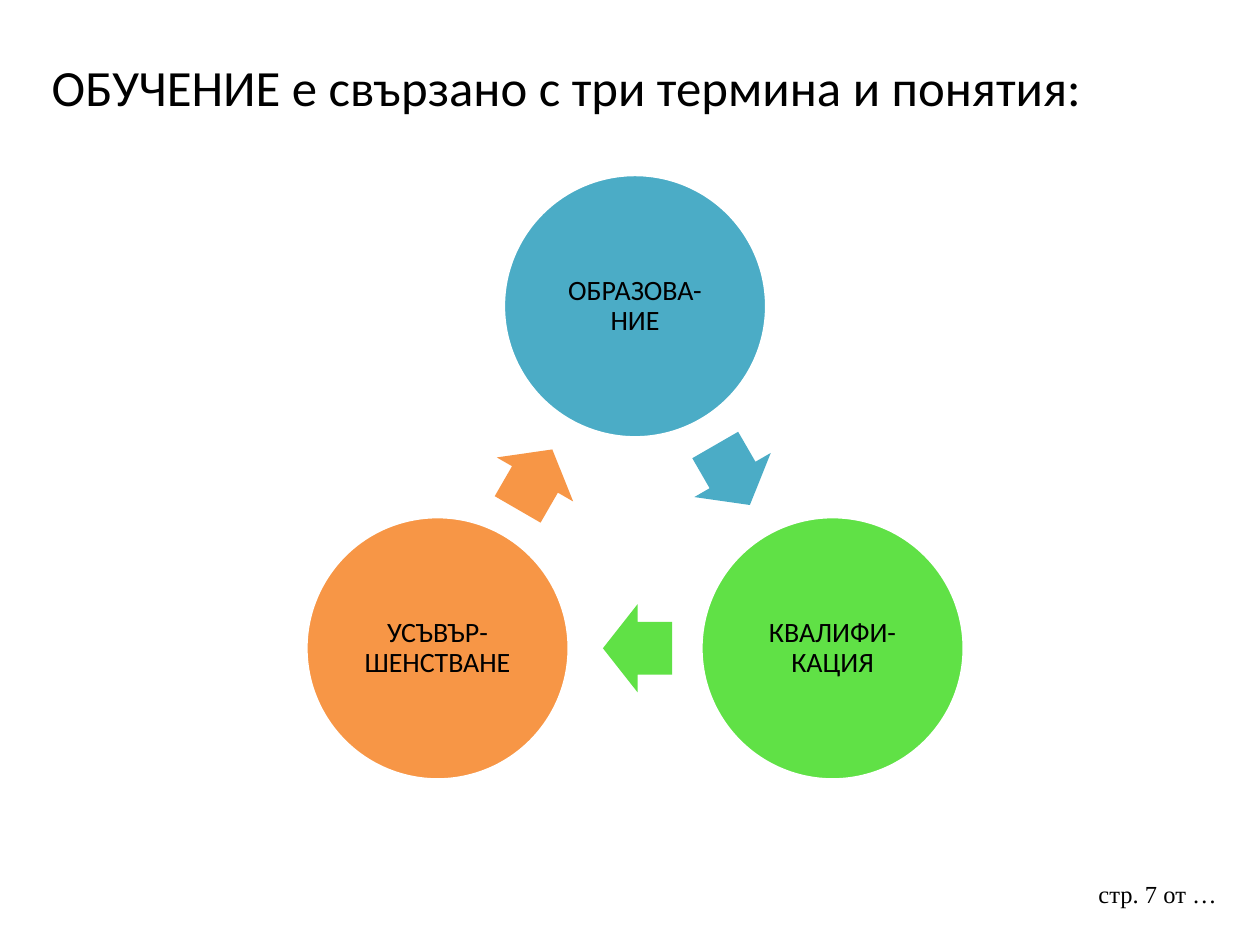
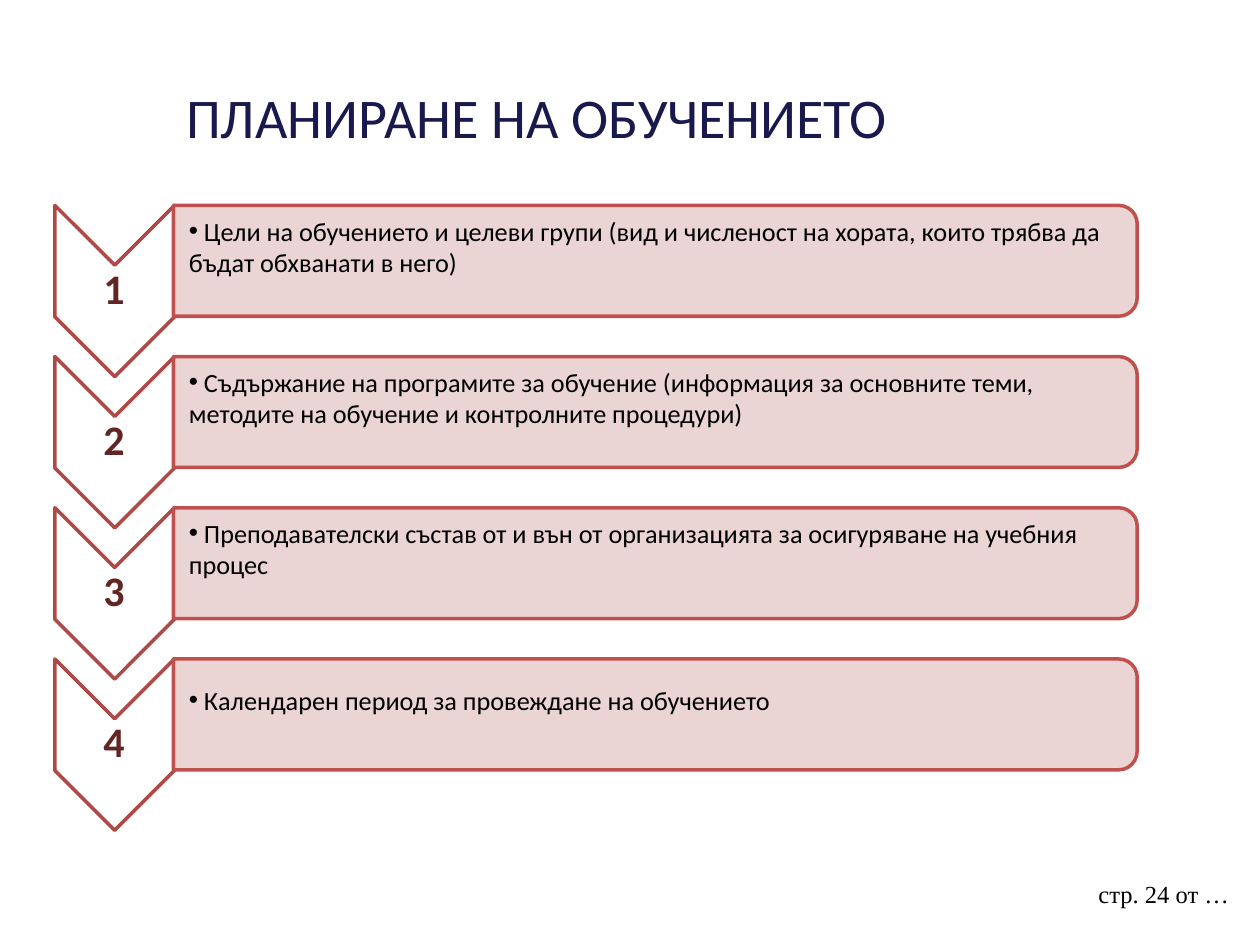
import math

import lxml.etree
import pptx
import pptx.dml.color
import pptx.enum.shapes
import pptx.enum.text
import pptx.oxml.ns
import pptx.util

Inches = pptx.util.Inches
Pt = pptx.util.Pt
RGBColor = pptx.dml.color.RGBColor
SHAPE = pptx.enum.shapes.MSO_SHAPE
ANCHOR = pptx.enum.text.MSO_ANCHOR
ALIGN = pptx.enum.text.PP_ALIGN
qn = pptx.oxml.ns.qn

BLACK = RGBColor(0x00, 0x00, 0x00)
WHITE = RGBColor(0xFF, 0xFF, 0xFF)
NAVY = RGBColor(0x19, 0x19, 0x4D)
TEAL = RGBColor(0x4B, 0xAC, 0xC6)
GREEN = RGBColor(0x60, 0xE1, 0x46)
ORANGE = RGBColor(0xF7, 0x96, 0x46)
PINK = RGBColor(0xE8, 0xD0, 0xD0)
RED = RGBColor(0xC0, 0x50, 0x4D)
DARK_RED = RGBColor(0xAE, 0x49, 0x46)
MAROON = RGBColor(0x63, 0x25, 0x23)

TITLE_FONT = {"name": "Calibri", "size": Pt(32)}
LONG_TITLE_FONT = {"name": "Calibri", "size": Pt(29)}
FOOTER_FONT = {"name": "Times New Roman", "size": Pt(14)}
CIRCLE_FONT = {"name": "Calibri", "size": Pt(16)}
NUMBER_FONT = {"name": "Calibri", "size": Pt(24), "bold": True}
STEP_FONT = {"name": "Calibri", "size": Pt(15)}
CENTERED = {"alignment": ALIGN.CENTER}
TIGHT = {"alignment": ALIGN.CENTER, "line_spacing": 0.9}

TERMS = [
    ("ОБРАЗОВА-НИЕ", TEAL),
    ("КВАЛИФИ-КАЦИЯ", GREEN),
    ("УСЪВЪР-ШЕНСТВАНЕ", ORANGE),
]
STEPS = [
    "Цели на обучението и целеви групи (вид и численост на хората, които трябва да бъдат обхванати в него)",
    "Съдържание на програмите за обучение (информация за основните теми, методите на обучение и контролните процедури)",
    "Преподавателски състав от и вън от организацията за осигуряване на учебния процес",
    "Календарен период за провеждане на обучението",
]


def apply(obj, values):
    for name, value in values.items():
        setattr(obj, name, value)


def add_bullet(p):
    pPr = p._p.get_or_add_pPr()
    pPr.set("marL", "0")
    pPr.set("indent", "0")
    lxml.etree.SubElement(pPr, qn("a:buFont")).set("typeface", "Arial")
    lxml.etree.SubElement(pPr, qn("a:buChar")).set("char", "•")


def write(sp, text, font, color=BLACK, para=None, insets=(0.1, 0.05, 0.1, 0.05),
          anchor=ANCHOR.MIDDLE, bullet=False):
    tf = sp.text_frame
    sides = ("margin_left", "margin_top", "margin_right", "margin_bottom")
    apply(tf, {side: Inches(inset) for side, inset in zip(sides, insets)})
    apply(tf, {"word_wrap": True, "vertical_anchor": anchor})
    p = tf.paragraphs[0]
    if bullet:
        add_bullet(p)
    apply(p, para or {})
    r = p.add_run()
    r.text = text
    apply(r.font, font)
    r.font.color.rgb = color


def add_text(s, box, *args, **kwargs):
    write(s.shapes.add_textbox(*map(Inches, box)), *args, **kwargs)


def add_shape(s, kind, cx, cy, width, height, fill, line=None, rotation=0):
    box = (cx - width / 2, cy - height / 2, width, height)
    sp = s.shapes.add_shape(kind, *map(Inches, box))
    sp.shadow.inherit = False
    sp.rotation = rotation
    sp.fill.solid()
    sp.fill.fore_color.rgb = fill
    if line is None:
        sp.line.fill.background()
    else:
        sp.line.color.rgb = line
        sp.line.width = Pt(2)
    return sp


def set_opacity(sp, percent):
    color = sp._element.spPr.find(qn("a:solidFill"))[0]
    lxml.etree.SubElement(color, qn("a:alpha")).set("val", str(percent * 1000))


def add_page(prs, title, title_box, font, color, number):
    s = prs.slides.add_slide(prs.slide_layouts[6])
    add_text(s, (8.62, 6.93, 1.3, 0.52), f"стр. {number} от …", FOOTER_FONT, anchor=ANCHOR.TOP)
    add_text(s, title_box, title, font, color, CENTERED)
    return s


def add_cycle(s, terms, cx=5.04, cy=4.24, radius=1.81):
    turn = 360 / len(terms)
    arrow_radius = radius * math.cos(math.radians(turn / 2))
    setback = 0.02
    for i, (term, color) in enumerate(terms):
        angle = math.radians(i * turn - 90)
        circle = add_shape(s, SHAPE.OVAL, cx + radius * math.cos(angle),
                           cy + radius * math.sin(angle), 2.09, 2.09, color, WHITE)
        write(circle, term, CIRCLE_FONT, para=TIGHT, insets=(0.02,) * 4)

        middle = angle + math.radians(turn / 2)
        heading = middle + math.pi / 2
        arrow = add_shape(s, SHAPE.RIGHT_ARROW,
                          cx + arrow_radius * math.cos(middle) - setback * math.cos(heading),
                          cy + arrow_radius * math.sin(middle) - setback * math.sin(heading),
                          0.55, 0.7, color, rotation=math.degrees(heading))
        arrow.adjustments[0] = 0.6
        arrow.adjustments[1] = 0.5


def add_step(s, number, text, top):
    add_shape(s, SHAPE.CHEVRON, 0.91, top + 0.68, 1.36, 0.95, WHITE, DARK_RED, 90)
    add_text(s, (0.43, top + 0.47, 0.95, 0.41), str(number), NUMBER_FONT, MAROON, TIGHT,
             insets=(0.02,) * 4)
    panel = add_shape(s, SHAPE.ROUND_2_SAME_RECTANGLE, 5.2, top + 0.44, 0.88, 7.65, PINK, RED, 90)
    set_opacity(panel, 90)
    add_text(s, (1.38, top + 0.04, 7.6, 0.8), " " + text, STEP_FONT,
             insets=(0.12, 0.01, 0.01, 0.24), bullet=True)


def main():
    prs = pptx.Presentation()
    prs.slide_width, prs.slide_height = Inches(10), Inches(7.5)

    s = add_page(prs, "ОБУЧЕНИЕ е свързано с три термина и понятия:",
                 (0, 0.3, 9, 0.77), LONG_TITLE_FONT, BLACK, 7)
    add_cycle(s, TERMS)

    s = add_page(prs, "ПЛАНИРАНЕ НА ОБУЧЕНИЕТО",
                 (0, 0.3, 8.52, 1.25), TITLE_FONT, NAVY, 24)
    for i, text in enumerate(STEPS):
        add_step(s, i + 1, text, 1.63 + 1.2 * i)

    prs.save("out.pptx")


if __name__ == "__main__":
    main()
